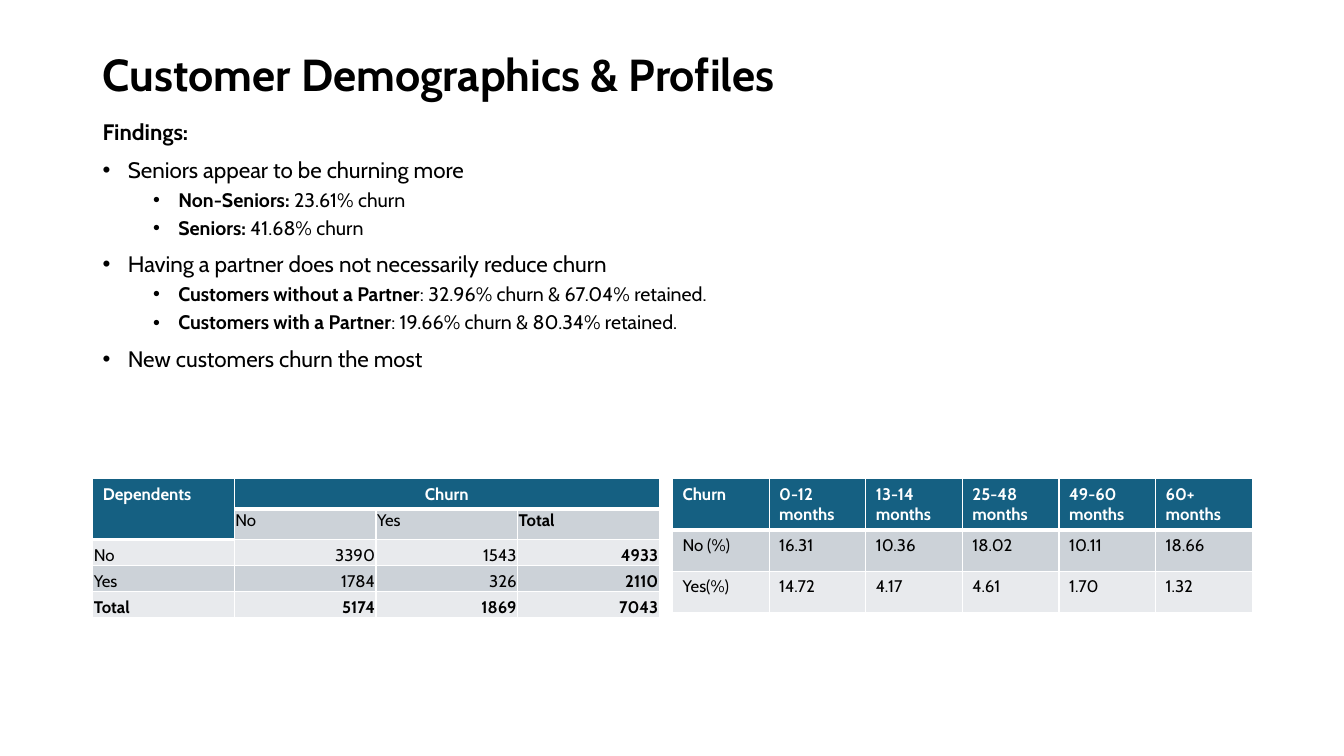
from dataclasses import dataclass
from lxml.etree import SubElement
from pptx import Presentation
from pptx.dml.color import RGBColor
from pptx.enum.text import MSO_ANCHOR, PP_ALIGN
from pptx.oxml.ns import qn
from pptx.util import Inches, Pt


@dataclass(frozen=True)
class Theme:
    font: str = "Cabin"
    ink: str = "000000"
    paper: str = "FFFFFF"
    head: str = "156082"
    bands: tuple = ("E8EAED", "CCD2D8")
    title: int = 32
    body: int = 16
    sub: int = 14
    cell: int = 12


THEME = Theme()
WIDE, HIGH = 13.33, 7.5
LEFT, SPAN = 0.92, 11.5
TABLE_TOP = 4.75

FINDINGS = [
    (None, "Findings:", ""),
    (0, "", "Seniors appear to be churning more"),
    (1, "Non-Seniors:", " 23.61% churn"),
    (1, "Seniors:", " 41.68% churn"),
    (0, "", "Having a partner does not necessarily reduce churn"),
    (1, "Customers without a Partner", ": 32.96% churn & 67.04% retained."),
    (1, "Customers with a Partner", ": 19.66% churn & 80.34% retained."),
    (0, "", "New customers churn the most"),
]
TENURE = [
    ["Churn", "0-12 months", "13-14 months", "25-48 months", "49-60 months", "60+ months"],
    ["No (%)", "16.31", "10.36", "18.02", "10.11", "18.66"],
    ["Yes(%)", "14.72", "4.17", "4.61", "1.70", "1.32"],
]
FAMILY = [
    ["Dependents", "Churn", "", ""],
    ["", "No", "Yes", "Total"],
    ["No", "3390", "1543", "4933"],
    ["Yes", "1784", "326", "2110"],
    ["Total", "5174", "1869", "7043"],
]


def write(par, text, size, bold=False, color=THEME.ink, align=None):
    if align is not None:
        par.alignment = align
    if not text:
        SubElement(par._p, qn("a:endParaRPr"), sz=str(size * 100))
        return
    run = par.add_run()
    run.text = text
    font = run.font
    font.name, font.size, font.bold = THEME.font, Pt(size), bold
    font.color.rgb = RGBColor.from_string(color)


def indent(par, level):
    props = par._p.get_or_add_pPr()
    props.set("marL", str(Inches(0.25 + 0.5 * level)))
    props.set("indent", str(Inches(-0.25)))
    SubElement(props, qn("a:buFont"), typeface="Arial")
    SubElement(props, qn("a:buChar"), char="•")


def add_title(slide, text):
    shape = slide.shapes.title
    shape.left, shape.top = Inches(LEFT), Inches(0.4)
    shape.width, shape.height = Inches(SPAN), Inches(0.72)
    shape.text_frame.vertical_anchor = MSO_ANCHOR.MIDDLE
    par = shape.text_frame.paragraphs[0]
    par.line_spacing = 0.9
    write(par, text, THEME.title, bold=True, align=PP_ALIGN.LEFT)


def add_list(slide, items):
    box = slide.shapes.add_textbox(Inches(LEFT), Inches(1.15), Inches(SPAN), Inches(3.19))
    frame = box.text_frame
    frame.word_wrap = True
    for i, (level, lead, rest) in enumerate(items):
        par = frame.add_paragraph() if i else frame.paragraphs[0]
        par.line_spacing = 0.9
        par.space_before = Pt(5 if level else 10) if i else Pt(0)
        if level is not None:
            par.level = level
            indent(par, level)
        size = THEME.sub if level else THEME.body
        for text, bold in ((lead, True), (rest, False)):
            if text:
                write(par, text, size, bold=bold)


def paint(cell, fill, base):
    props = cell._tc.get_or_add_tcPr()
    for side in "LRTB":
        width = base if side == "B" else 1
        line = SubElement(props, qn(f"a:ln{side}"), w=str(Pt(width)))
        solid = SubElement(line, qn("a:solidFill"))
        SubElement(solid, qn("a:srgbClr"), val=THEME.paper)
    cell.fill.solid()
    cell.fill.fore_color.rgb = RGBColor.from_string(fill)


def tighten(cell):
    cell.margin_left = cell.margin_right = cell.margin_top = Inches(0.01)
    cell.margin_bottom = 0


def add_grid(slide, data, left, width, rows, look):
    count = len(data[0])
    frame = slide.shapes.add_table(
        len(data), count, Inches(left), Inches(TABLE_TOP), Inches(width), Inches(sum(rows)))
    table = frame.table
    table.horz_banding = False
    for col in table.columns:
        col.width = Inches(width / count)
    for r, values in enumerate(data):
        table.rows[r].height = Inches(rows[r])
        for c, text in enumerate(values):
            cell = table.cell(r, c)
            top = r == 0 or not text
            paint(cell, THEME.head if top else THEME.bands[r % 2], 3 if top else 1)
            style = dict(bold=True, color=THEME.paper) if top else {}
            style.update(look(cell, r, c))
            write(cell.text_frame.paragraphs[0], text, THEME.cell, **style)
    return table


def plain(cell, r, c):
    return {}


def tally(cell, r, c):
    if r == 0:
        return dict(align=PP_ALIGN.CENTER) if c else {}
    if r == 1 and c == 0:
        return {}
    tighten(cell)
    style = dict(bold=c == 3 or r == 4)
    if r > 1:
        cell.vertical_anchor = MSO_ANCHOR.BOTTOM
        if c:
            style["align"] = PP_ALIGN.RIGHT
    return style


def main():
    deck = Presentation()
    deck.slide_width, deck.slide_height = Inches(WIDE), Inches(HIGH)
    slide = deck.slides.add_slide(deck.slide_layouts[5])
    add_title(slide, "Customer Demographics & Profiles")
    add_list(slide, FINDINGS)
    add_grid(slide, TENURE, 6.67, 5.75, [0.51, 0.41, 0.41], plain)
    table = add_grid(slide, FAMILY, LEFT, 5.62, [0.3, 0.3] + [0.26] * 3, tally)
    table.cell(0, 0).merge(table.cell(1, 0))
    table.cell(0, 1).merge(table.cell(0, 3))
    deck.save("out.pptx")


if __name__ == "__main__":
    main()
